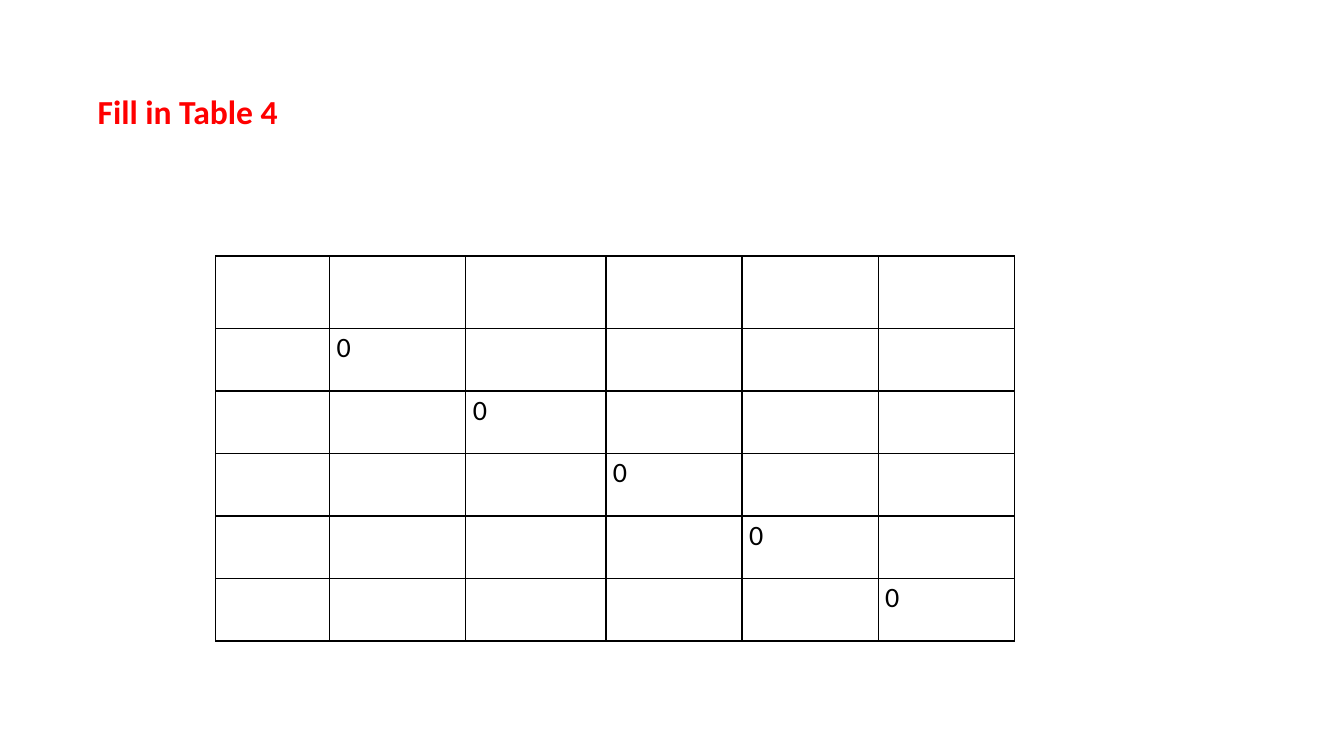
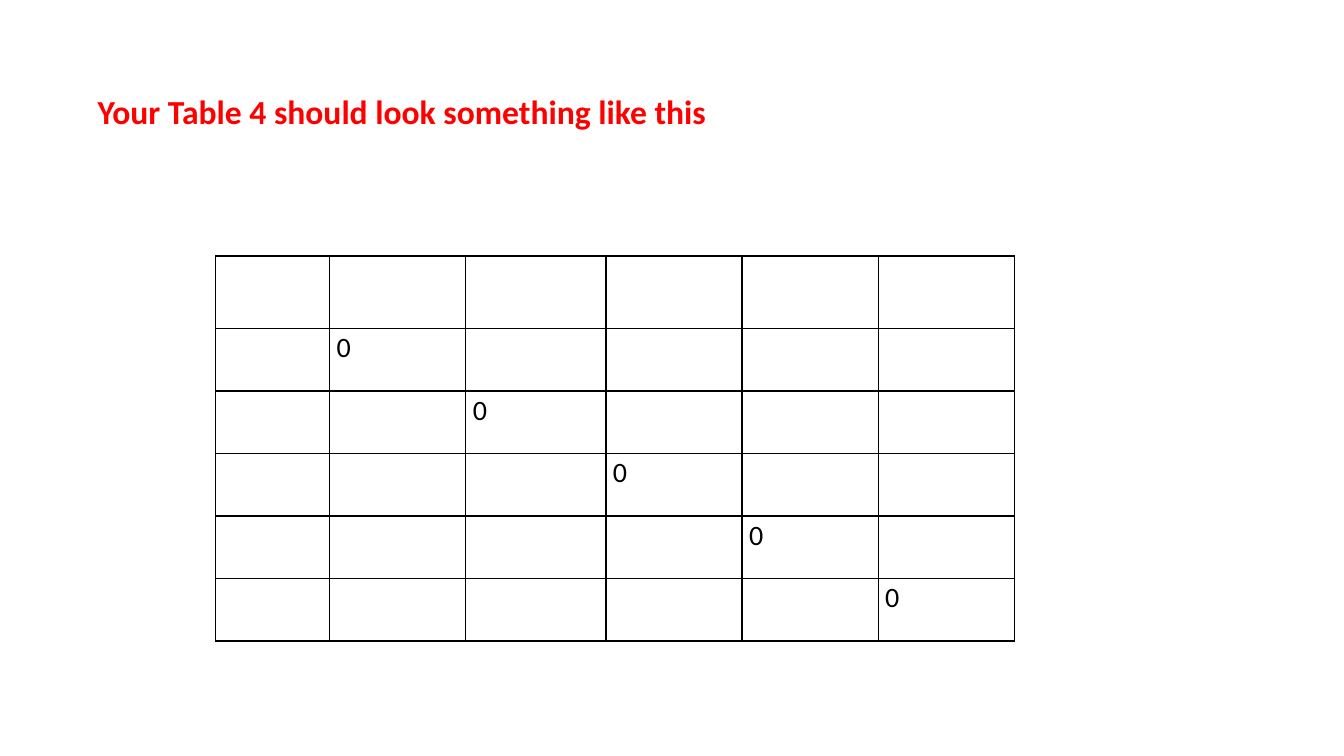
from lxml import etree
from pptx import Presentation
from pptx import util as u
from pptx.dml import color
from pptx.enum import text
from pptx.oxml import ns

COLORS = {"title": "FF0000", "ink": "000000", "background": "FFFFFF"}
FONT = "Calibri"
TITLE_BOX = (0.87, 0.9, 8.12, 0.46)
TABLE_BOX = (2.14, 2.54, 7.92, 3.82)
COLUMN_WIDTHS = [1.13, 1.35, 1.39, 1.35, 1.35, 1.35]
ROW_HEIGHTS = [0.72] + [0.62] * 5
TITLES = ["Fill in Table 4", "Your Table 4 should look something like this"]


def style_font(font, size, color_name, bold=False):
    font.name = FONT
    font.size = u.Pt(size)
    font.bold = bold
    font.color.rgb = color.RGBColor.from_string(COLORS[color_name])


def add_title(slide, box, title):
    shape = slide.shapes.add_textbox(*map(u.Inches, box))
    text_frame = shape.text_frame
    text_frame.word_wrap = True
    text_frame.auto_size = text.MSO_AUTO_SIZE.SHAPE_TO_FIT_TEXT
    text_frame.text = title
    paragraph = text_frame.paragraphs[0]
    paragraph.line_spacing = 0.9
    style_font(paragraph.runs[0].font, 24, "title", bold=True)


def add_borders(cell, width):
    properties = cell._tc.get_or_add_tcPr()
    for side in ("lnL", "lnR", "lnT", "lnB"):
        line = etree.SubElement(properties, ns.qn(f"a:{side}"), w=str(u.Pt(width)))
        fill = etree.SubElement(line, ns.qn("a:solidFill"))
        etree.SubElement(fill, ns.qn("a:srgbClr"), val=COLORS["ink"])


def style_cell(cell):
    cell.margin_left = cell.margin_right = u.Inches(0.07)
    cell.margin_top = cell.margin_bottom = 0
    add_borders(cell, 1)
    cell.fill.background()


def add_distance_table(slide, box):
    frame = slide.shapes.add_table(
        len(ROW_HEIGHTS), len(COLUMN_WIDTHS), *map(u.Inches, box))
    table = frame.table
    table.first_row = table.horz_banding = False
    for column, width in zip(table.columns, COLUMN_WIDTHS):
        column.width = u.Inches(width)
    for row, height in zip(table.rows, ROW_HEIGHTS):
        row.height = u.Inches(height)
    for cell in table.iter_cells():
        style_cell(cell)
    for index in range(1, len(ROW_HEIGHTS)):
        text_frame = table.cell(index, index).text_frame
        text_frame.text = "0"
        paragraph = text_frame.paragraphs[0]
        paragraph.line_spacing = 1.07
        style_font(paragraph.runs[0].font, 20, "ink")


def add_table_slide(presentation, title):
    slide = presentation.slides.add_slide(presentation.slide_layouts[6])
    background = slide.background.fill
    background.solid()
    background.fore_color.rgb = color.RGBColor.from_string(COLORS["background"])
    add_distance_table(slide, TABLE_BOX)
    add_title(slide, TITLE_BOX, title)


def main():
    presentation = Presentation()
    presentation.slide_width = u.Inches(13.33)
    presentation.slide_height = u.Inches(7.5)
    for title in TITLES:
        add_table_slide(presentation, title)
    presentation.save("out.pptx")


if __name__ == "__main__":
    main()
